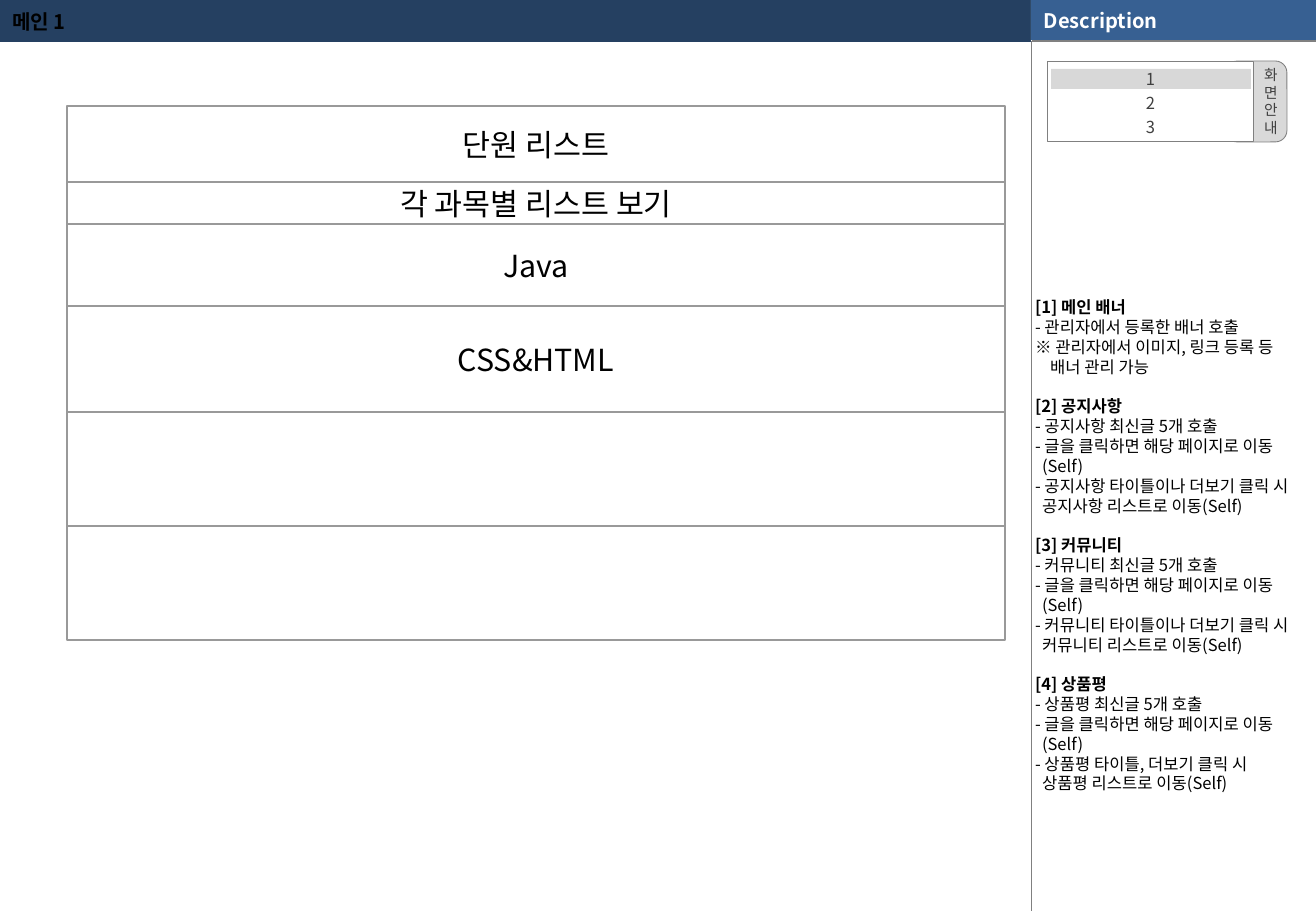
from lxml import etree
from pptx import Presentation
from pptx import util as u
from pptx.dml.color import RGBColor
from pptx.enum import shapes, text
from pptx.oxml import ns

PX = 7526  # EMU in one px
FONT = "Noto Sans CJK KR"
NAVY = RGBColor(0x25, 0x40, 0x61)
BLUE = RGBColor(0x37, 0x60, 0x92)
GRAY = RGBColor(0x80, 0x80, 0x80)
RULE = RGBColor(0x99, 0x99, 0x99)
PALE = RGBColor(0xD9, 0xD9, 0xD9)
DARK = RGBColor(0x40, 0x40, 0x40)
BLACK = RGBColor(0, 0, 0)
WHITE = RGBColor(0xFF, 0xFF, 0xFF)
LEFT, MID, RIGHT = text.PP_ALIGN.LEFT, text.PP_ALIGN.CENTER, text.PP_ALIGN.RIGHT
RECT = shapes.MSO_SHAPE.RECTANGLE
ROUND = shapes.MSO_SHAPE.ROUNDED_RECTANGLE

prs = Presentation()
prs.slide_width, prs.slide_height = 1316 * PX, 911 * PX
slide = prs.slides.add_slide(prs.slide_layouts[1])
title, body = slide.placeholders


def box(kind, place, fill, line=None, width=0.75):
    shape = slide.shapes.add_shape(kind, *[n * PX for n in place])
    shape.shadow.inherit = False
    shape.fill.solid()
    shape.fill.fore_color.rgb = fill
    if line is None:
        shape.line.fill.background()
    else:
        shape.line.color.rgb = line
        shape.line.width = u.Pt(width)
    return shape


def write(shape, lines, size, pitch, color, align, inset=(0, 0, 0, 0),
          anchor=text.MSO_ANCHOR.MIDDLE):
    """Each line is (words, bold, left margin in px, space before in pt)."""
    frame = shape.text_frame
    look = {"word_wrap": True, "auto_size": text.MSO_AUTO_SIZE.NONE,
            "vertical_anchor": anchor}
    sides = ("margin_left", "margin_top", "margin_right", "margin_bottom")
    look.update(zip(sides, [n * PX for n in inset]))
    for key, value in look.items():
        setattr(frame, key, value)
    for i, (words, bold, margin, gap) in enumerate(lines):
        para = frame.paragraphs[0] if i == 0 else frame.add_paragraph()
        props = para._p.get_or_add_pPr()
        props.set("marL", str(margin * PX))
        props.set("indent", "0")
        etree.SubElement(props, ns.qn("a:buNone"))
        form = {"alignment": align, "line_spacing": u.Pt(pitch),
                "space_before": u.Pt(gap), "space_after": u.Pt(0)}
        for key, value in form.items():
            setattr(para, key, value)
        run = para.add_run()
        run.text = words
        for key, value in {"name": FONT, "size": u.Pt(size), "bold": bold}.items():
            setattr(run.font, key, value)
        run.font.color.rgb = color
        east = etree.SubElement(run._r.get_or_add_rPr(), ns.qn("a:ea"))
        east.set("typeface", FONT)


# Header bars and side rule
box(RECT, (0, 0, 1031, 42), NAVY)
box(RECT, (1031, 0, 285, 42), GRAY)
for top, end, color in ((0, 42, WHITE), (41, 911, GRAY)):
    rule = slide.shapes.add_connector(
        shapes.MSO_CONNECTOR.STRAIGHT, 1031 * PX, top * PX, 1031 * PX, end * PX)
    rule.line.color.rgb = color
    rule.line.width = u.Pt(0.25)
    etree.SubElement(rule._element.spPr, ns.qn("a:effectLst"))
head = box(RECT, (1031, 0, 285, 40), BLUE)
write(head, [("Description", True, 0, 0)], 11.9, 15, WHITE, LEFT, (13, 0, 12, 0))

# Title and body go in front of the bars
for holder, place in ((title, (0, 0, 1002, 41)), (body, (1031, 297, 285, 614))):
    slide.shapes.element.append(holder._element)
    for key, n in zip(("left", "top", "width", "height"), place):
        setattr(holder, key, n * PX)
write(title, [("메인 1", True, 0, 0)], 11.9, 15, BLACK, LEFT, (12, 0, 12, 0))

# Description list
PITCH = 11.75
notes = [("[1] 메인 배너", True, 0, 0),
         ("- 관리자에서 등록한 배너 호출", False, 0, 0),
         ("※ 관리자에서 이미지, 링크 등록 등", False, 0, 0),
         ("배너 관리 가능", False, 15, 0)]
boards = (("공지사항", "이나"), ("커뮤니티", "이나"), ("상품평", ","))
for num, (name, link) in enumerate(boards, 2):
    notes += [(f"[{num}] {name}", True, 0, PITCH),
              (f"- {name} 최신글 5개 호출", False, 0, 0),
              ("- 글을 클릭하면 해당 페이지로 이동", False, 0, 0),
              ("(Self)", False, 7, 0),
              (f"- {name} 타이틀{link} 더보기 클릭 시", False, 0, 0),
              (f"{name} 리스트로 이동(Self)", False, 7, 0)]
write(body, notes, 9.8, PITCH, BLACK, LEFT, (4, 0, 5, 0), text.MSO_ANCHOR.TOP)

# Screen guide
tab = box(ROUND, (1226, 61, 61, 81), PALE, GRAY, 0.5)
tab.adjustments[0] = 0.19
write(tab, [(c, False, 0, 0) for c in "화면안내"], 8.7, 10.4, DARK, RIGHT, (0, 0, 6, 1))
guide = box(RECT, (1047, 61, 207, 81), WHITE, GRAY, 0.5)
write(guide, [(c, False, 0, 0) for c in "123"], 9.8, 14, DARK, MID, (0, 0, 0, 1))
mark = box(RECT, (1051, 69, 200, 20), DARK)
tint = mark._element.spPr.find(".//" + ns.qn("a:srgbClr"))
etree.SubElement(tint, ns.qn("a:alpha")).set("val", "20000")

# Main rows
edges = (106, 182, 224, 306, 412, 526, 640)
labels = ("단원 리스트", "각 과목별 리스트 보기", "Java", "CSS&HTML", "", "")
for top, end, label in zip(edges, edges[1:], labels):
    row = box(RECT, (67, top, 938, end - top), WHITE, RULE)
    if label:
        write(row, [(label, False, 0, 0)], 18, 21.6, BLACK, MID)

prs.save("out.pptx")
